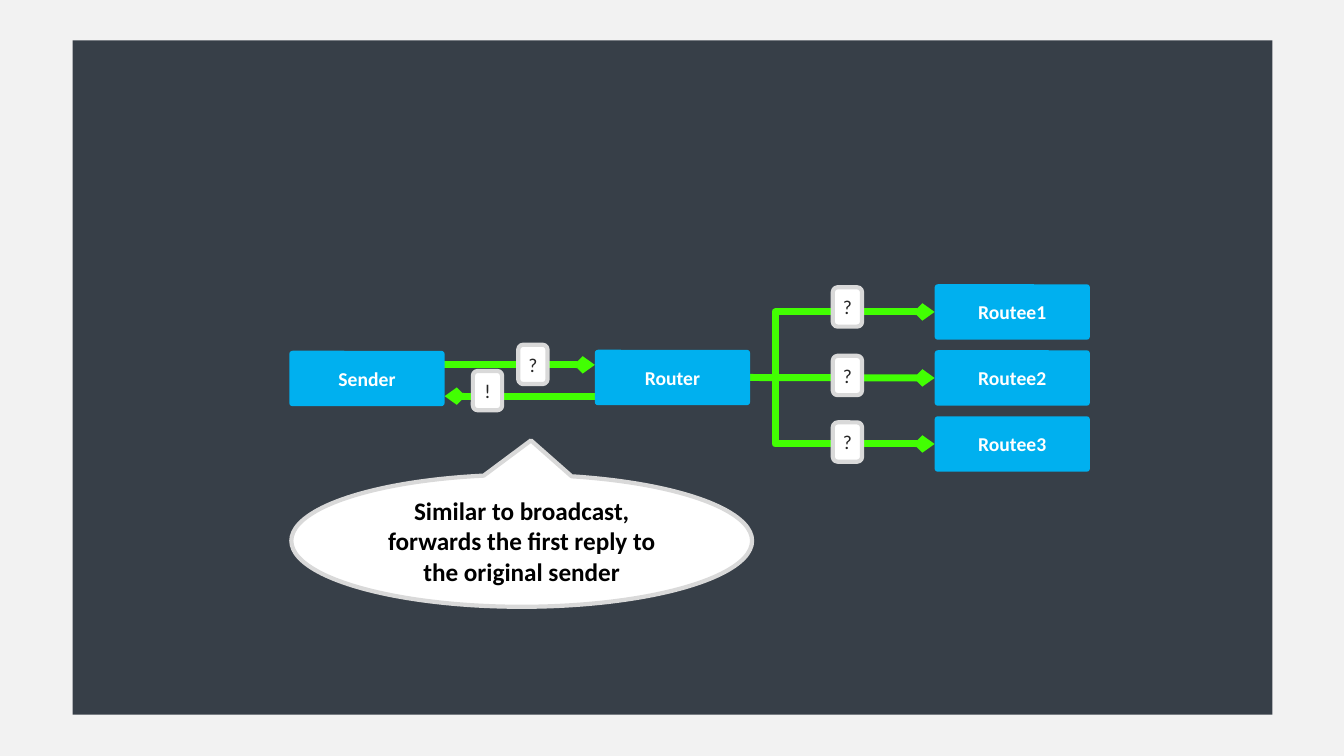
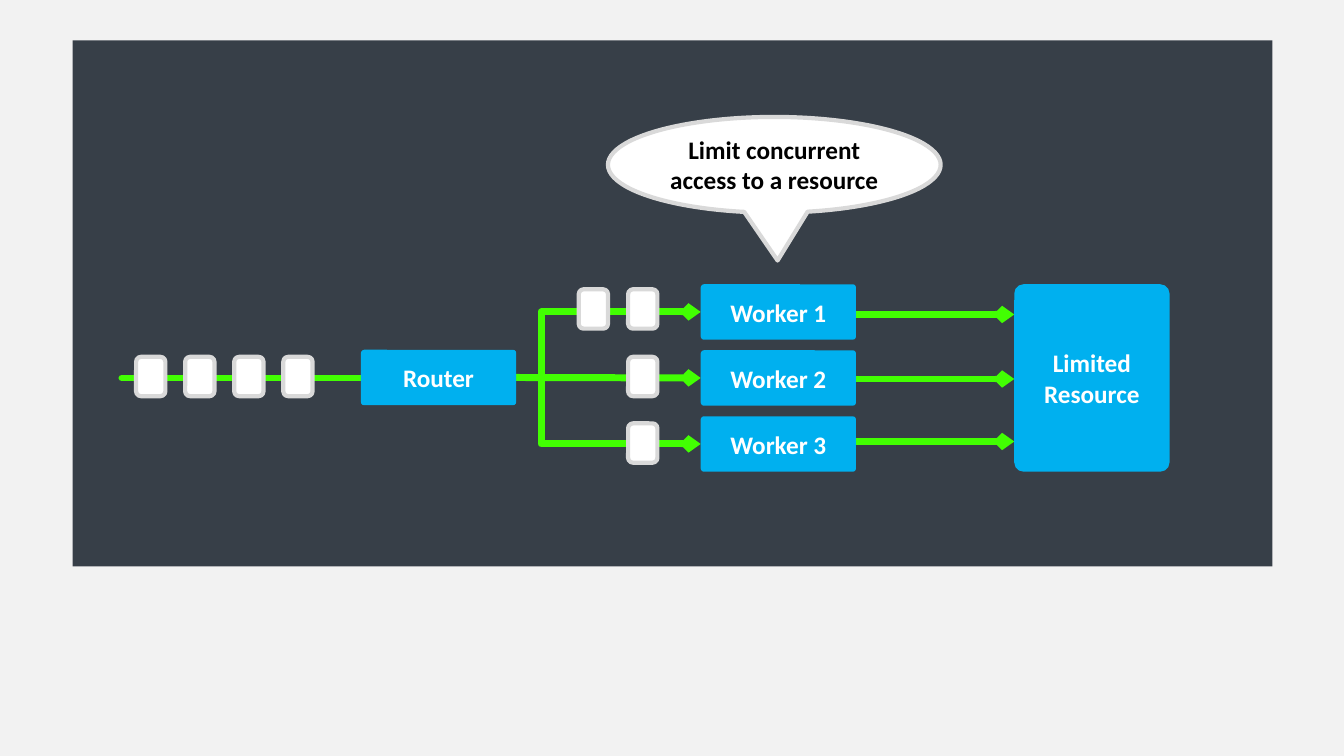
from lxml.etree import SubElement
from pptx import Presentation
from pptx.dml.color import RGBColor
from pptx.enum.shapes import MSO_CONNECTOR, MSO_SHAPE
from pptx.enum.text import MSO_ANCHOR, PP_ALIGN
from pptx.oxml.ns import qn
from pptx.util import Inches, Pt

PAGE, PANEL, BLUE, GREEN = "F2F2F2", "373F48", "00B0EF", "42FF02"
WHITE, GREY, DARK, BLACK = "FFFFFF", "D9D9D9", "262626", "000000"

BOX_W, BOX_H = 1.54, 0.55
ROW_TOP, ROW_END = 2.82, 4.13
ROUTER_TOP = 3.47
CARD_W, CARD_H = 0.29, 0.39

BOX_FONT = {"size": Pt(14), "bold": True, "color": WHITE}
BIG_FONT = {**BOX_FONT, "size": Pt(18)}
CARD_FONT = {"size": Pt(14), "bold": False, "color": DARK}
CALL_FONT = {"size": Pt(18), "bold": True, "color": BLACK}


def rgb(code):
    return RGBColor.from_string(code)


def add_text(shape, text, look, inset):
    frame = shape.text_frame
    frame.word_wrap = True
    frame.vertical_anchor = MSO_ANCHOR.MIDDLE
    frame.margin_left = frame.margin_right = Inches(inset)
    para = frame.paragraphs[0]
    para.text = text
    para.alignment = PP_ALIGN.CENTER
    para.font.name = "Calibri"
    for name, value in look.items():
        if name == "color":
            para.font.color.rgb = rgb(value)
        else:
            setattr(para.font, name, value)


def add_shape(slide, kind, place, fill, edge=None, adjust=(),
              text="", look=None, inset=0.1):
    shape = slide.shapes.add_shape(kind, *map(Inches, place))
    shape.shadow.inherit = False
    shape.fill.solid()
    shape.fill.fore_color.rgb = rgb(fill)
    if edge:
        shape.line.color.rgb = rgb(edge)
        shape.line.width = Pt(3)
    else:
        shape.line.fill.background()
    for index, value in enumerate(adjust):
        shape.adjustments[index] = value
    if text:
        add_text(shape, text, look, inset)
    return shape


def add_box(slide, left, top, text, look, height=BOX_H):
    return add_shape(slide, MSO_SHAPE.ROUNDED_RECTANGLE,
                     (left, top, BOX_W, height), BLUE, adjust=[0.06],
                     text=text, look=look)


def add_card(slide, left, top, text=""):
    """Draw a small message card."""
    add_shape(slide, MSO_SHAPE.ROUNDED_RECTANGLE,
              (left, top, CARD_W, CARD_H), WHITE, GREY,
              text=text, look=CARD_FONT, inset=0)


def add_call(slide, place, tip, text):
    """Draw a speech bubble whose tip is given relative to its centre."""
    add_shape(slide, MSO_SHAPE.OVAL_CALLOUT, place, WHITE, GREY, tip,
              text, CALL_FONT)


def add_line(slide, start, end, kind=MSO_CONNECTOR.STRAIGHT, arrow=True):
    """Draw a line just above the panel, so that boxes cover its ends."""
    line = slide.shapes.add_connector(kind, *map(Inches, (*start, *end)))
    line.line.color.rgb = rgb(GREEN)
    line.line.width = Pt(5)
    stroke = line._element.spPr.find(qn("a:ln"))
    stroke.set("cap", "rnd")
    SubElement(stroke, qn("a:round"))
    if arrow:
        SubElement(stroke, qn("a:tailEnd"), type="arrow", w="sm", len="sm")
    SubElement(line._element.spPr, qn("a:effectLst"))
    slide.shapes[0]._element.addnext(line._element)
    return line


def add_fan(slide, left, router, boxes):
    """Link the router's right side to the left side of each box."""
    start = (left, ROUTER_TOP + BOX_H / 2)
    for row, box in enumerate(boxes):
        middle = row == 1
        kind = MSO_CONNECTOR.STRAIGHT if middle else MSO_CONNECTOR.ELBOW
        line = add_line(slide, start, start, kind)
        line.begin_connect(router, 3)
        line.end_connect(box, 1)
        if not middle:
            guides = line._element.spPr.prstGeom.get_or_add_avLst()
            SubElement(guides, qn("a:gd"), name="adj1", fmla="val 13500")


def add_stack(slide, left, names, look):
    step = (ROW_END - ROW_TOP) / (len(names) - 1)
    return [add_box(slide, left, ROW_TOP + row * step, name, look)
            for row, name in enumerate(names)]


def add_slide(deck, height):
    slide = deck.slides.add_slide(deck.slide_layouts[6])
    add_shape(slide, MSO_SHAPE.RECTANGLE, (0.72, 0.4, 11.9, height), PANEL)
    return slide


def reply_slide(deck):
    slide = add_slide(deck, 6.69)
    sender, router, routee = 2.87, 5.9, 9.27
    boxes = add_stack(slide, routee, ("Routee1", "Routee2", "Routee3"),
                      BOX_FONT)
    add_box(slide, sender, 3.48, "Sender", BOX_FONT)
    hub = add_box(slide, router, ROUTER_TOP, "Router", BOX_FONT)
    add_fan(slide, router + BOX_W, hub, boxes)
    edge = sender + BOX_W
    add_line(slide, (edge, 3.62), (router, 3.62))
    add_line(slide, (router, 3.93), (edge, 3.93))
    add_card(slide, 5.14, 3.42, "?")
    add_card(slide, 4.69, 3.68, "!")
    for top in (2.85, 3.53, 4.19):
        add_card(slide, 8.26, top, "?")
    add_call(slide, (2.89, 4.71, 4.57, 1.31), (0.02, -0.76),
             "Similar to broadcast, forwards the first reply "
             "to the original sender")


def limit_slide(deck):
    slide = add_slide(deck, 5.22)
    router, worker, store = 3.58, 6.95, 10.06
    boxes = add_stack(slide, worker, ("Worker 1", "Worker 2", "Worker 3"),
                      BIG_FONT)
    hub = add_box(slide, router, ROUTER_TOP, "Router", BIG_FONT)
    add_box(slide, store, ROW_TOP, "Limited Resource", BIG_FONT, 1.86)
    add_fan(slide, router + BOX_W, hub, boxes)
    add_line(slide, (1.21, 3.75), (router, 3.75), arrow=False)
    for y in (3.12, 3.76, 4.38):
        add_line(slide, (worker + BOX_W, y), (store, y))
    first, last = 1.35, 2.81
    for place in range(4):
        add_card(slide, first + place * (last - first) / 3, 3.54)
    for left, top in ((5.74, 2.87), (6.23, 2.87), (6.23, 3.54), (6.23, 4.2)):
        add_card(slide, left, top)
    add_call(slide, (6.03, 1.16, 3.3, 0.95), (0.01, 1),
             "Limit concurrent access to a resource")


def main():
    deck = Presentation()
    deck.slide_width, deck.slide_height = Inches(13.33), Inches(7.5)
    back = deck.slide_master.background.fill
    back.solid()
    back.fore_color.rgb = rgb(PAGE)
    reply_slide(deck)
    limit_slide(deck)
    deck.save("out.pptx")


if __name__ == "__main__":
    main()
